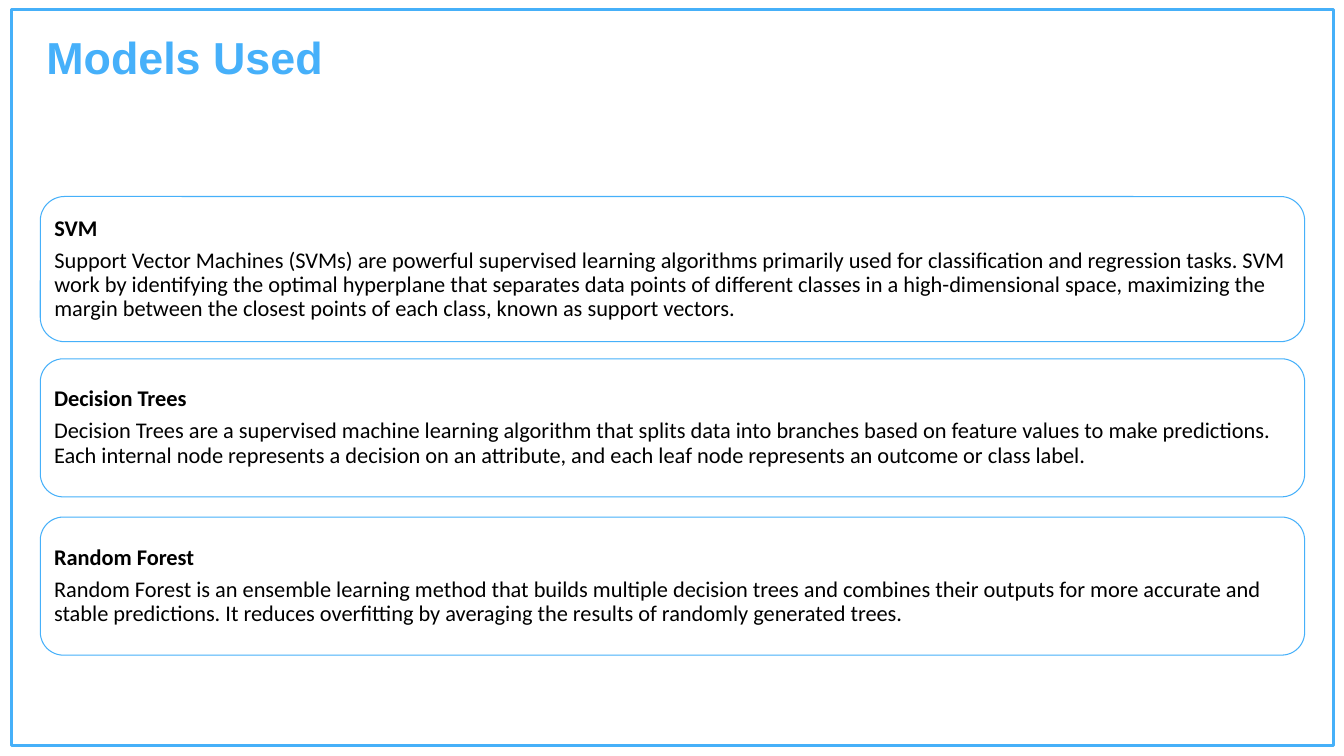
from dataclasses import dataclass

from pptx import Presentation
from pptx import util as u
from pptx.dml.color import RGBColor
from pptx.enum import shapes, text


@dataclass(frozen=True)
class Theme:
    accent: RGBColor = RGBColor(0x46, 0xB0, 0xFA)
    frame: RGBColor = RGBColor(0x46, 0xB0, 0xF9)
    card: RGBColor = RGBColor(0xFF, 0xFF, 0xFF)
    ink: RGBColor = RGBColor(0, 0, 0)
    title_font: str = "Arial"
    body_font: str = "Calibri"
    title_size: int = 32
    body_size: int = 16


THEME = Theme()
CARD_INSET = 0.07
CARD_LEFT, CARD_WIDTH = 0.4, 12.54

# top, height, heading, description
MODELS = [
    (1.95, 1.44, "SVM",
     "Support Vector Machines (SVMs) are powerful supervised learning algorithms "
     "primarily used for classification and regression tasks. SVM work by identifying "
     "the optimal hyperplane that separates data points of different classes in a "
     "high-dimensional space, maximizing the margin between the closest points of each "
     "class, known as support vectors."),
    (3.56, 1.37, "Decision Trees",
     "Decision Trees are a supervised machine learning algorithm that splits data into "
     "branches based on feature values to make predictions. Each internal node "
     "represents a decision on an attribute, and each leaf node represents an outcome "
     "or class label."),
    (5.13, 1.37, "Random Forest",
     "Random Forest is an ensemble learning method that builds multiple decision trees "
     "and combines their outputs for more accurate and stable predictions. It reduces "
     "overfitting by averaging the results of randomly generated trees."),
]


def apply(target, **values):
    """Set each named attribute of the target."""
    for name, value in values.items():
        setattr(target, name, value)


def write(paragraph, words, font_name, size, color, bold):
    run = paragraph.add_run()
    run.text = words
    apply(run.font, name=font_name, size=u.Pt(size), bold=bold)
    run.font.color.rgb = color


def add_outlined(slide, kind, box, color, width):
    shape = slide.shapes.add_shape(kind, *map(u.Inches, box))
    shape.shadow.inherit = False
    shape.line.color.rgb = color
    shape.line.width = u.Pt(width)
    return shape


def add_frame(slide, box):
    frame = add_outlined(slide, shapes.MSO_SHAPE.RECTANGLE, box, THEME.frame, 2.25)
    frame.fill.background()


def place_title(slide, words, box):
    title = slide.shapes.title
    for name, length in zip(("left", "top", "width", "height"), box):
        setattr(title, name, u.Inches(length))
    apply(title.text_frame, vertical_anchor=text.MSO_ANCHOR.TOP,
          auto_size=text.MSO_AUTO_SIZE.NONE, word_wrap=True)
    paragraph = title.text_frame.paragraphs[0]
    paragraph.alignment = text.PP_ALIGN.LEFT
    write(paragraph, words, THEME.title_font, THEME.title_size, THEME.accent, True)


def add_model_card(slide, box, heading, description):
    card = add_outlined(slide, shapes.MSO_SHAPE.ROUNDED_RECTANGLE, box, THEME.accent, 0.75)
    card.fill.solid()
    card.fill.fore_color.rgb = THEME.card
    frame = card.text_frame
    inset = u.Inches(CARD_INSET)
    apply(frame, word_wrap=True, vertical_anchor=text.MSO_ANCHOR.MIDDLE,
          margin_left=inset, margin_top=inset, margin_right=inset, margin_bottom=inset)
    for paragraph, words, bold in (
        (frame.paragraphs[0], heading, True),
        (frame.add_paragraph(), description, False),
    ):
        apply(paragraph, alignment=text.PP_ALIGN.LEFT, line_spacing=0.9,
              space_after=u.Pt(0.35 * THEME.body_size))
        write(paragraph, words, THEME.body_font, THEME.body_size, THEME.ink, bold)


def main():
    presentation = Presentation()
    apply(presentation, slide_width=u.Inches(13.33), slide_height=u.Inches(7.5))
    slide = presentation.slides.add_slide(presentation.slide_layouts.get_by_name("Title Only"))
    add_frame(slide, (0.11, 0.09, 13.12, 7.31))
    place_title(slide, "Models Used", (0.36, 0.24, 8.24, 0.64))
    for top, height, heading, description in MODELS:
        add_model_card(slide, (CARD_LEFT, top, CARD_WIDTH, height), heading, description)
    presentation.save("out.pptx")


if __name__ == "__main__":
    main()
